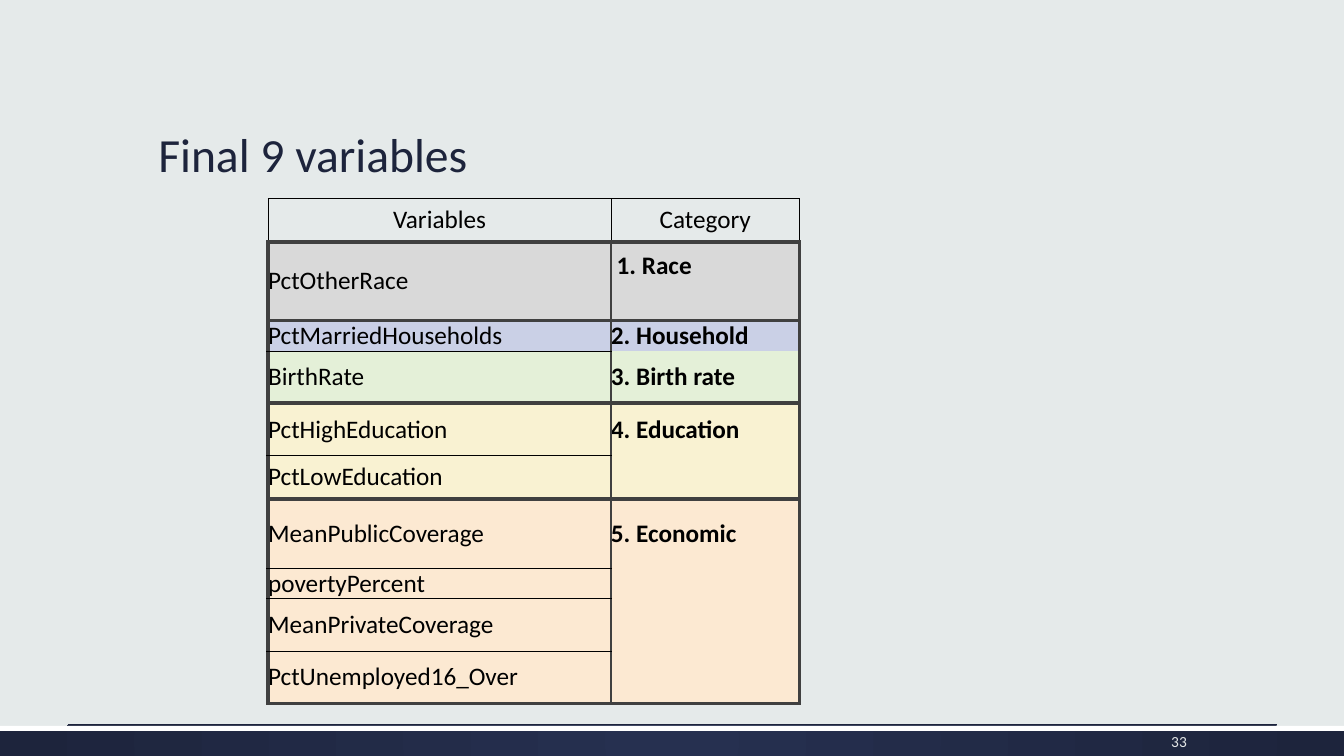
from typing import NamedTuple

from lxml import etree
from pptx import Presentation, util as u
from pptx.dml.color import RGBColor
from pptx.enum import shapes, text
from pptx.oxml.ns import qn

COLORS = {
    "background": "E5EAEA", "navy": "1D243C", "navy_light": "263050",
    "white": "FFFFFF", "black": "000000", "number": "E5E8E8", "frame": "404040",
    "race": "D9D9D9", "household": "CAD0E6", "birth": "E4F0D8",
    "education": "F9F2D2", "economic": "FCE9D2",
}
FONT = "Calibri"


class Border(NamedTuple):
    color: str
    width: float


class Row(NamedTuple):
    height: float
    variable: str
    category: str
    fill: str
    opens_block: bool = False


THIN = Border("black", 0.5)
INNER = Border("frame", 1)
THICK = Border("frame", 3)
EDGES = {"left": "a:lnL", "right": "a:lnR", "top": "a:lnT", "bottom": "a:lnB"}

COLUMN_WIDTHS = (3.4, 1.87)
HEADER_HEIGHT = 0.43
ROWS = [
    Row(0.78, "PctOtherRace", "1. Race", "race", True),
    Row(0.3, "PctMarriedHouseholds", "2. Household", "household", True),
    Row(0.52, "BirthRate", "3. Birth rate", "birth"),
    Row(0.52, "PctHighEducation", "4. Education", "education", True),
    Row(0.43, "PctLowEducation", "", "education"),
    Row(0.69, "MeanPublicCoverage", "5. Economic", "economic", True),
    Row(0.3, "povertyPercent", "", "economic"),
    Row(0.52, "MeanPrivateCoverage", "", "economic"),
    Row(0.52, "PctUnemployed16_Over", "", "economic"),
]


def rgb(name: str) -> RGBColor:
    return RGBColor.from_string(COLORS[name])


def set_all(obj, values: dict) -> None:
    for name, value in values.items():
        setattr(obj, name, value)


def add_run(p, words: str, size: float, color: str, bold: bool = False) -> None:
    r = p.add_run()
    r.text = words
    set_all(r.font, {"name": FONT, "size": u.Pt(size), "bold": bold})
    r.font.color.rgb = rgb(color)


def add_bar(s, top: float, height: float):
    sp = s.shapes.add_shape(shapes.MSO_SHAPE.RECTANGLE, 0, u.Inches(top),
                            u.Inches(13.33), u.Inches(height))
    sp.shadow.inherit = False
    sp.line.fill.background()
    return sp


def add_footer(s) -> None:
    bar = add_bar(s, 7.2, 0.3)
    bar.fill.gradient()
    for stop, position, color in zip(bar.fill.gradient_stops, (0, 1),
                                     ("navy_light", "navy")):
        stop.position = position
        stop.color.rgb = rgb(color)
    grad = bar._element.spPr.find(qn("a:gradFill"))
    grad.remove(grad.find(qn("a:lin")))
    circle = etree.SubElement(grad, qn("a:path"), path="circle")
    etree.SubElement(circle, qn("a:fillToRect"),
                     dict.fromkeys("ltrb", "50000"))

    stripe = add_bar(s, 7.2, 0.05)
    stripe.fill.solid()
    stripe.fill.fore_color.rgb = rgb("white")

    rule = s.shapes.add_connector(shapes.MSO_CONNECTOR.STRAIGHT, u.Inches(0.67),
                                  u.Inches(7.19), u.Inches(12.67), u.Inches(7.19))
    rule.line.color.rgb = rgb("navy")
    rule.line.width = u.Pt(0.75)
    etree.SubElement(rule._element.spPr, qn("a:effectLst"))

    number = s.shapes.add_textbox(u.Inches(11.17), u.Inches(7.23),
                                  u.Inches(0.7), u.Inches(0.26))
    tf = number.text_frame
    set_all(tf, {"word_wrap": True, "vertical_anchor": text.MSO_ANCHOR.MIDDLE})
    p = tf.paragraphs[0]
    p.alignment = text.PP_ALIGN.RIGHT
    add_run(p, "33", 11, "number")


def add_title(s) -> None:
    title = s.shapes.title
    set_all(title, {"left": u.Inches(1.47), "top": u.Inches(0.51),
                    "width": u.Inches(10.4), "height": u.Inches(1.35)})
    tf = title.text_frame
    set_all(tf, {"word_wrap": True, "auto_size": text.MSO_AUTO_SIZE.NONE,
                 "vertical_anchor": text.MSO_ANCHOR.BOTTOM})
    p = tf.paragraphs[0]
    set_all(p, {"alignment": text.PP_ALIGN.LEFT, "line_spacing": 0.9})
    add_run(p, "Final 9 variables", 34, "navy")


def format_cell(cell, fill: str | None, **borders: Border | None) -> None:
    """Clear the margins, then set the fill and the borders; no border means no line."""
    set_all(cell, {"margin_left": 0, "margin_right": 0, "margin_top": 0,
                   "margin_bottom": 0, "vertical_anchor": text.MSO_ANCHOR.MIDDLE})
    tc_pr = cell._tc.get_or_add_tcPr()
    for edge, tag in EDGES.items():
        border = borders.get(edge)
        ln = etree.SubElement(tc_pr, qn(tag))
        if border is None:
            etree.SubElement(ln, qn("a:noFill"))
            continue
        ln.set("w", str(u.Pt(border.width)))
        solid = etree.SubElement(ln, qn("a:solidFill"))
        etree.SubElement(solid, qn("a:srgbClr"), val=COLORS[border.color])
    if fill:
        cell.fill.solid()
        cell.fill.fore_color.rgb = rgb(fill)
    else:
        cell.fill.background()


def add_variables_table(s) -> None:
    heights = [HEADER_HEIGHT] + [row.height for row in ROWS]
    frame = s.shapes.add_table(len(heights), len(COLUMN_WIDTHS), u.Inches(2.66),
                               u.Inches(1.97), u.Inches(sum(COLUMN_WIDTHS)),
                               u.Inches(sum(heights)))
    table = frame.table
    set_all(table, {"first_row": False, "horz_banding": False})
    for column, width in zip(table.columns, COLUMN_WIDTHS):
        column.width = u.Inches(width)
    for table_row, height in zip(table.rows, heights):
        table_row.height = u.Inches(height)

    for cell, heading in zip(table.rows[0].cells, ("Variables", "Category")):
        format_cell(cell, None, left=THIN, right=THIN, top=THIN, bottom=THICK)
        p = cell.text_frame.paragraphs[0]
        p.alignment = text.PP_ALIGN.CENTER
        add_run(p, heading, 18, "black")

    for i, row in enumerate(ROWS):
        closes_block = i + 1 == len(ROWS) or ROWS[i + 1].opens_block
        variable, category = table.rows[i + 1].cells
        format_cell(variable, row.fill, left=THICK, right=INNER,
                    top=THICK if row.opens_block else THIN,
                    bottom=THICK if closes_block else THIN)
        format_cell(category, row.fill, left=INNER, right=THICK,
                    top=THICK if row.opens_block else None,
                    bottom=THICK if closes_block else None)
        add_run(variable.text_frame.paragraphs[0], row.variable, 18, "black")
        if row.category:
            p = category.text_frame.paragraphs[0]
            if row.fill == "race":
                category.margin_bottom = u.Inches(0.3)
                add_run(p, " ", 18, "black")
            add_run(p, row.category, 18, "black", bold=True)


def main() -> None:
    prs = Presentation()
    set_all(prs, {"slide_width": u.Inches(13.33), "slide_height": u.Inches(7.5)})
    s = prs.slides.add_slide(prs.slide_layouts[5])
    s.background.fill.solid()
    s.background.fill.fore_color.rgb = rgb("background")
    add_footer(s)
    add_title(s)
    add_variables_table(s)
    prs.save("out.pptx")


if __name__ == "__main__":
    main()
